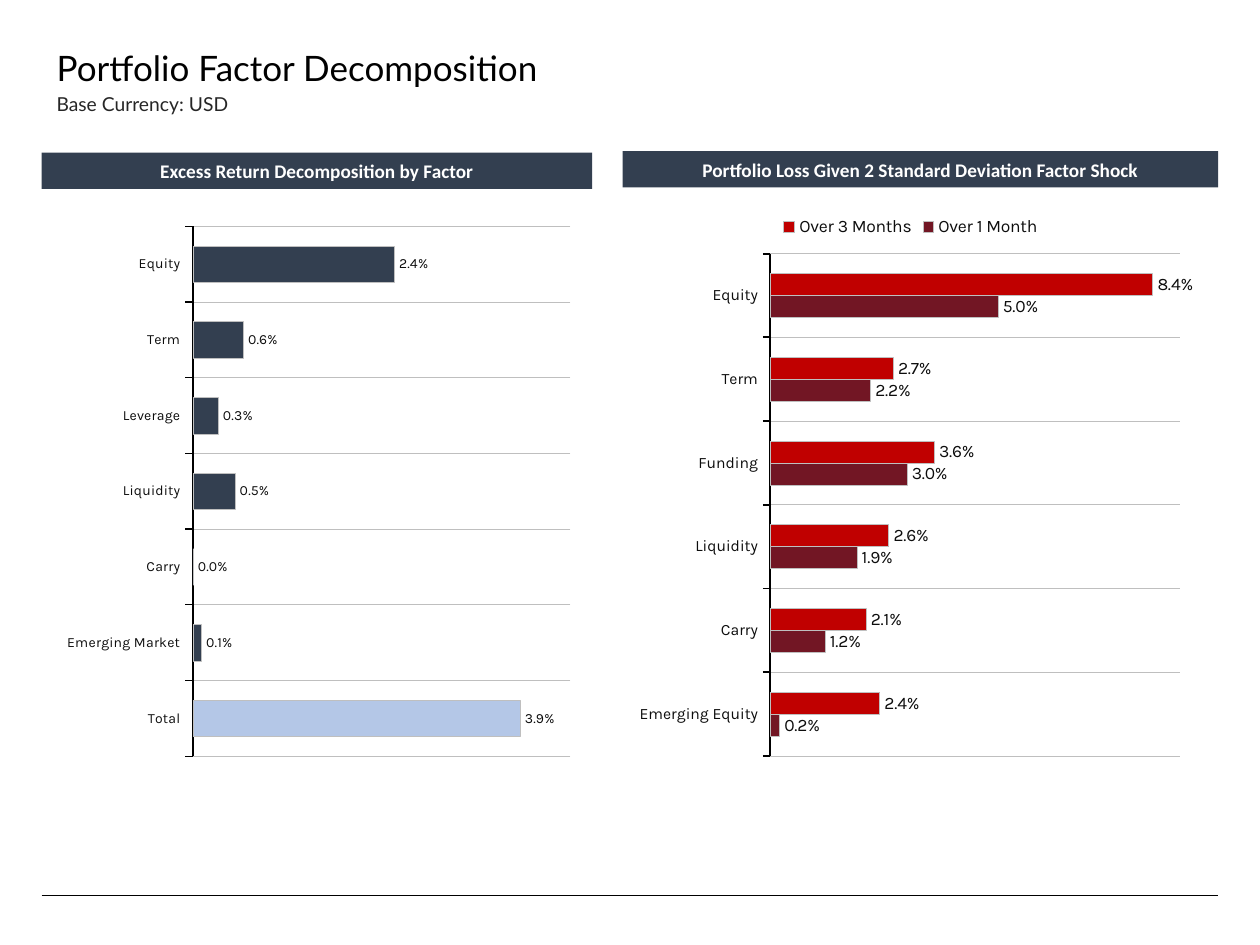
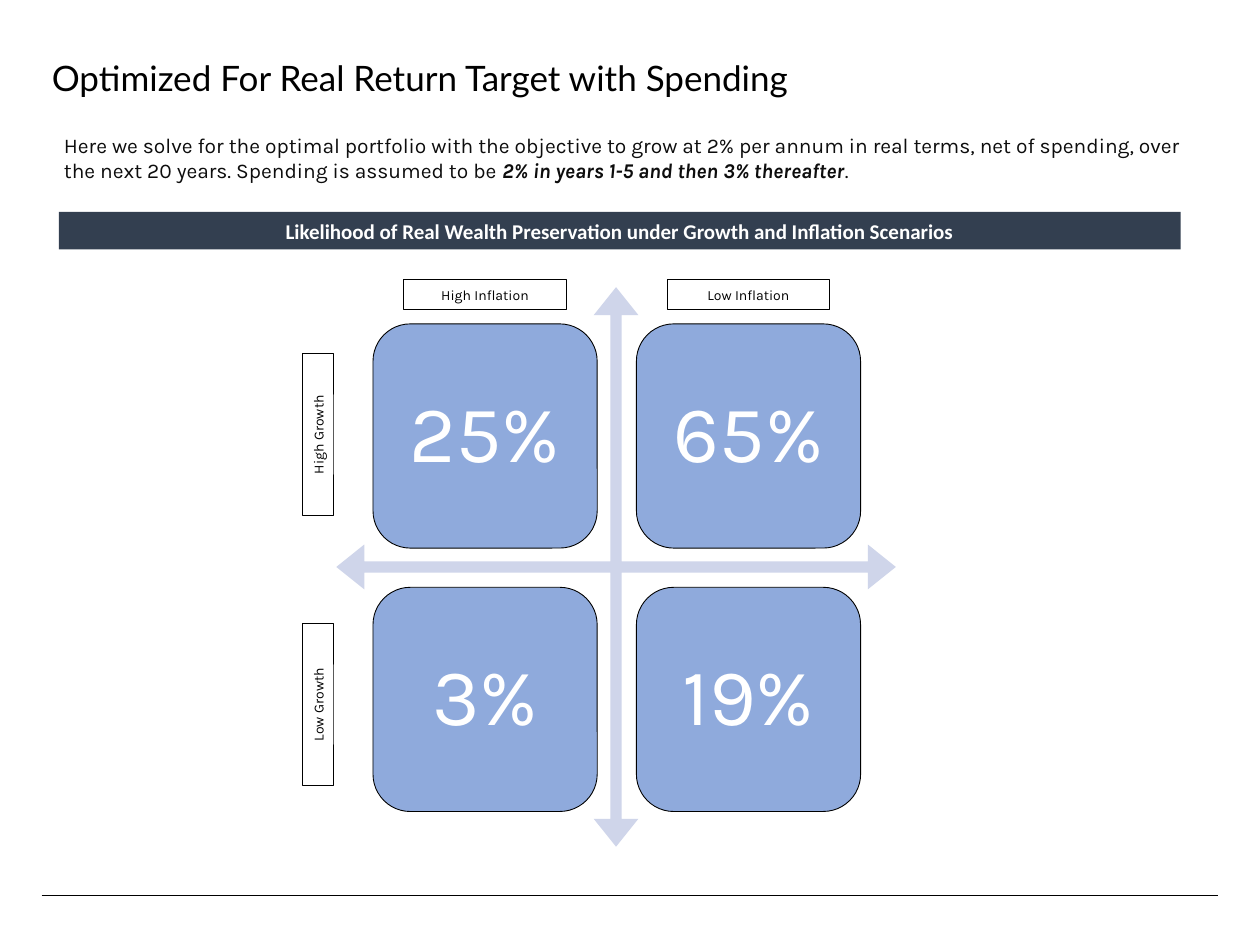
from dataclasses import dataclass
from itertools import product
from typing import Optional

import pptx
import pptx.chart.chart
import pptx.chart.data
import pptx.dml.color
import pptx.enum.chart
import pptx.enum.shapes
import pptx.enum.text
import pptx.oxml
import pptx.presentation
import pptx.shapes.autoshape
import pptx.shapes.base
import pptx.slide
import pptx.util
from pptx.util import Cm

Align = pptx.enum.text.PP_ALIGN
Anchor = pptx.enum.text.MSO_ANCHOR
Preset = pptx.enum.shapes.MSO_SHAPE


@dataclass(frozen=True)
class Theme:
    black: str = "000000"
    white: str = "FFFFFF"
    ink: str = "0D0D0D"
    subtitle: str = "262626"
    navy: str = "333F50"
    total: str = "B4C7E7"
    grid: str = "BFBFBF"
    red: str = "C00000"
    maroon: str = "721624"
    cell: str = "8FAADC"
    arrow: str = "CFD5EA"
    title_font: str = "Lato"
    band_font: str = "Calibri"
    body_font: str = "Karla"
    title_size: float = 20
    subtitle_size: float = 11
    body_size: float = 12
    label_size: float = 8
    figure_size: float = 46
    hairline: float = 0.5
    bar_line: float = 0.25


THEME = Theme()


@dataclass(frozen=True)
class Frame:
    left: float
    top: float
    width: float
    height: float

    def lengths(self) -> tuple:
        return Cm(self.left), Cm(self.top), Cm(self.width), Cm(self.height)


@dataclass(frozen=True)
class Span:
    text: str
    strong: bool = False


@dataclass(frozen=True)
class Band:
    text: str
    frame: Frame
    size: float = 11


@dataclass(frozen=True)
class Bars:
    name: str
    values: tuple
    color: str


@dataclass(frozen=True)
class BarChart:
    frame: Frame
    plot: tuple
    categories: tuple
    series: tuple
    maximum: float
    gap: int
    overlap: int
    label_size: float
    axis_size: float
    axis_line: float
    legend: bool = False
    total_color: Optional[str] = None


BANDS = (
    Band("Excess Return Decomposition by Factor", Frame(0.84, 3.08, 11.1, 0.73)),
    Band("Portfolio Loss Given 2 Standard Deviation Factor Shock",
         Frame(12.55, 3.05, 12.01, 0.73)),
)
CHARTS = (
    BarChart(
        Frame(1.14, 4.34, 10.57, 11.13), (0.26, 0.02, 0.72, 0.96),
        ("Total", "Emerging Market", "Carry", "Liquidity", "Leverage", "Term", "Equity"),
        (Bars("Series 1", (0.039, 0.001, 0, 0.005, 0.003, 0.006, 0.024), THEME.navy),),
        maximum=0.045, gap=108, overlap=-2, label_size=8, axis_size=8, axis_line=0.75,
        total_color=THEME.total),
    BarChart(
        Frame(12.7, 4.09, 11.35, 11.38), (0.25, 0.09, 0.73, 0.89),
        ("Emerging Equity", "Carry", "Liquidity", "Funding", "Term", "Equity"),
        (Bars("Over 1 Month", (0.002, 0.012, 0.019, 0.03, 0.022, 0.05), THEME.maroon),
         Bars("Over 3 Months", (0.024, 0.021, 0.026, 0.036, 0.027, 0.084), THEME.red)),
        maximum=0.09, gap=182, overlap=0, label_size=10, axis_size=9, axis_line=1,
        legend=True),
)
SCENARIO_BAND = Band("Likelihood of Real Wealth Preservation under Growth and Inflation Scenarios",
                     Frame(1.19, 4.27, 22.61, 0.76), 12)
OBJECTIVE = (
    Span("Here we solve for the optimal portfolio with the objective to grow at 2% per annum "
         "in real terms, net of spending, over the next 20 years. Spending is assumed to be "),
    Span("2% in years 1-5 and then 3% thereafter", strong=True),
    Span("."),
)
LIKELIHOODS = (("25%", "65%"), ("3%", "19%"))
INFLATION = ("High Inflation", "Low Inflation")
GROWTH = ("High Growth", "Low Growth")
GRID = Frame(7.52, 6.53, 4.52, 4.52)
GRID_PITCH = 5.31
GROWTH_PITCH = 5.44
LABEL_WIDTH, LABEL_HEIGHT = 3.28, 0.61


def rgb(color: str) -> pptx.dml.color.RGBColor:
    return pptx.dml.color.RGBColor.from_string(color)


def set_font(font, face: str, size: float, color: str) -> None:
    font.name = face
    font.size = pptx.util.Pt(size)
    font.color.rgb = rgb(color)


def set_fill(form, color: str) -> None:
    form.fill.solid()
    form.fill.fore_color.rgb = rgb(color)


def set_line(line, color: str, width: float) -> None:
    line.color.rgb = rgb(color)
    line.width = pptx.util.Pt(width)


def write_text(box: pptx.shapes.base.BaseShape, text, *, face: str, size: float,
               color: str, align=Align.LEFT, anchor=Anchor.TOP, bold: bool = False,
               spacing: Optional[float] = None, inset: Optional[float] = None) -> None:
    frame = box.text_frame
    frame.word_wrap = True
    frame.auto_size = pptx.enum.text.MSO_AUTO_SIZE.NONE
    frame.vertical_anchor = anchor
    if inset is not None:
        frame.margin_left = frame.margin_right = Cm(inset)
        frame.margin_top = frame.margin_bottom = Cm(inset)
    para = frame.paragraphs[0]
    para.alignment = align
    if spacing:
        para.line_spacing = spacing
    for span in (Span(text),) if isinstance(text, str) else text:
        run = para.add_run()
        run.text = span.text
        set_font(run.font, face, size, color)
        run.font.bold = bold or span.strong
        run.font.italic = span.strong


def add_block(page: pptx.slide.Slide, preset, frame: Frame, fill: Optional[str] = None,
              outline: Optional[str] = None) -> pptx.shapes.autoshape.Shape:
    block = page.shapes.add_shape(preset, *frame.lengths())
    block.shadow.inherit = False
    if fill:
        set_fill(block, fill)
    else:
        block.fill.background()
    if outline:
        set_line(block.line, outline, THEME.hairline)
    else:
        block.line.fill.background()
    return block


def add_band(page: pptx.slide.Slide, band: Band) -> None:
    block = add_block(page, Preset.RECTANGLE, band.frame, THEME.navy)
    write_text(block, band.text, face=THEME.band_font, size=band.size, color=THEME.white,
               align=Align.CENTER, anchor=Anchor.MIDDLE, bold=True)


def add_label(page: pptx.slide.Slide, text: str, center: tuple, rotation: float = 0) -> None:
    x, y = center
    label = add_block(page, Preset.RECTANGLE,
                      Frame(x - LABEL_WIDTH / 2, y - LABEL_HEIGHT / 2, LABEL_WIDTH, LABEL_HEIGHT),
                      outline=THEME.black)
    label.rotation = rotation
    write_text(label, text, face=THEME.body_font, size=THEME.label_size, color=THEME.black,
               align=Align.CENTER, anchor=Anchor.MIDDLE)


def add_page(deck: pptx.presentation.Presentation, title: str, left: float,
             top: float) -> pptx.slide.Slide:
    page = deck.slides.add_slide(deck.slide_layouts[5])
    heading = page.shapes.title
    heading.left, heading.top, heading.width, heading.height = Frame(
        left, top, 21.51, 1.12).lengths()
    write_text(heading, title, face=THEME.title_font, size=THEME.title_size, color=THEME.black)
    rule = page.shapes.add_connector(pptx.enum.shapes.MSO_CONNECTOR.STRAIGHT,
                                     Cm(0.84), Cm(18.06), Cm(24.56), Cm(18.06))
    set_line(rule.line, THEME.black, THEME.hairline)
    rule._element.spPr.append(pptx.oxml.parse_xml(
        '<a:effectLst xmlns:a="http://schemas.openxmlformats.org/drawingml/2006/main"/>'))
    return page


def place_plot(chart: pptx.chart.chart.Chart, plot: tuple) -> None:
    plot_area = chart._chartSpace.chart.plotArea
    for stale in plot_area.xpath("c:layout"):
        plot_area.remove(stale)
    bounds = "".join(f'<c:{key} val="{value}"/>' for key, value in zip("xywh", plot))
    plot_area.insert(0, pptx.oxml.parse_xml(
        '<c:layout xmlns:c="http://schemas.openxmlformats.org/drawingml/2006/chart">'
        '<c:manualLayout><c:layoutTarget val="inner"/><c:xMode val="edge"/>'
        f'<c:yMode val="edge"/>{bounds}</c:manualLayout></c:layout>'))


def add_bar_chart(page: pptx.slide.Slide, design: BarChart) -> None:
    data = pptx.chart.data.CategoryChartData(number_format="0.0%")
    data.categories = design.categories
    for bars in design.series:
        data.add_series(bars.name, bars.values)
    chart = page.shapes.add_chart(pptx.enum.chart.XL_CHART_TYPE.BAR_CLUSTERED,
                                  *design.frame.lengths(), data).chart
    chart.has_title = False
    set_font(chart.font, THEME.body_font, design.label_size, THEME.ink)
    chart.has_legend = design.legend
    if design.legend:
        chart.legend.position = pptx.enum.chart.XL_LEGEND_POSITION.TOP
        chart.legend.include_in_layout = False
        set_font(chart.legend.font, THEME.body_font, design.label_size, THEME.ink)
    factors = chart.category_axis
    factors.tick_label_position = pptx.enum.chart.XL_TICK_LABEL_POSITION.LOW
    factors.major_tick_mark = pptx.enum.chart.XL_TICK_MARK.OUTSIDE
    set_font(factors.tick_labels.font, THEME.body_font, design.axis_size, THEME.ink)
    set_line(factors.format.line, THEME.black, design.axis_line)
    factors.has_major_gridlines = True
    set_line(factors.major_gridlines.format.line, THEME.grid, THEME.hairline)
    scale = chart.value_axis
    scale.visible = scale.has_major_gridlines = False
    scale.minimum_scale, scale.maximum_scale = 0, design.maximum
    plot = chart.plots[0]
    plot.vary_by_categories = False
    plot.gap_width, plot.overlap = design.gap, design.overlap
    for series, bars in zip(plot.series, design.series):
        series.invert_if_negative = False
        set_fill(series.format, bars.color)
        set_line(series.format.line, THEME.grid, THEME.bar_line)
        labels = series.data_labels
        labels.show_value = True
        labels.number_format, labels.number_format_is_linked = "0.0%", False
        labels.position = pptx.enum.chart.XL_LABEL_POSITION.OUTSIDE_END
        set_font(labels.font, THEME.body_font, design.label_size, THEME.ink)
    if design.total_color:
        total = plot.series[0].points[0].format
        set_fill(total, design.total_color)
        set_line(total.line, THEME.grid, THEME.bar_line)
    place_plot(chart, design.plot)


def add_factor_page(deck: pptx.presentation.Presentation) -> None:
    page = add_page(deck, "Portfolio Factor Decomposition", 0.89, 0.81)
    currency = page.shapes.add_textbox(*Frame(0.89, 1.73, 21.51, 0.74).lengths())
    write_text(currency, "Base Currency: USD", face=THEME.title_font,
               size=THEME.subtitle_size, color=THEME.subtitle)
    for band, design in zip(BANDS, CHARTS):
        add_band(page, band)
        add_bar_chart(page, design)


def add_scenario_page(deck: pptx.presentation.Presentation) -> None:
    page = add_page(deck, "Optimized For Real Return Target with Spending", 0.79, 1.02)
    add_band(page, SCENARIO_BAND)
    objective = page.shapes.add_textbox(*Frame(1.04, 2.54, 23.32, 1.27).lengths())
    write_text(objective, OBJECTIVE, face=THEME.body_font, size=THEME.body_size,
               color=THEME.ink)
    axes = add_block(page, Preset.QUAD_ARROW, Frame(6.78, 5.79, 11.28, 11.28), THEME.arrow)
    for index, value in enumerate((0.02, 0.04, 0.05)):
        axes.adjustments[index] = value
    for row, column in product(range(2), repeat=2):
        cell = add_block(page, Preset.ROUNDED_RECTANGLE,
                         Frame(GRID.left + column * GRID_PITCH, GRID.top + row * GRID_PITCH,
                               GRID.width, GRID.height), THEME.cell, THEME.black)
        write_text(cell, LIKELIHOODS[row][column], face=THEME.body_font,
                   size=THEME.figure_size, color=THEME.white, align=Align.CENTER,
                   anchor=Anchor.MIDDLE, spacing=0.9, inset=0)
    for index, (inflation, growth) in enumerate(zip(INFLATION, GROWTH)):
        add_label(page, inflation, (GRID.left + GRID.width / 2 + index * GRID_PITCH, 5.94))
        add_label(page, growth, (6.41, 8.76 + index * GROWTH_PITCH), rotation=270)


def main() -> None:
    deck = pptx.Presentation()
    deck.slide_width, deck.slide_height = Cm(25.4), Cm(19.05)
    add_factor_page(deck)
    add_scenario_page(deck)
    deck.save("out.pptx")


if __name__ == "__main__":
    main()
